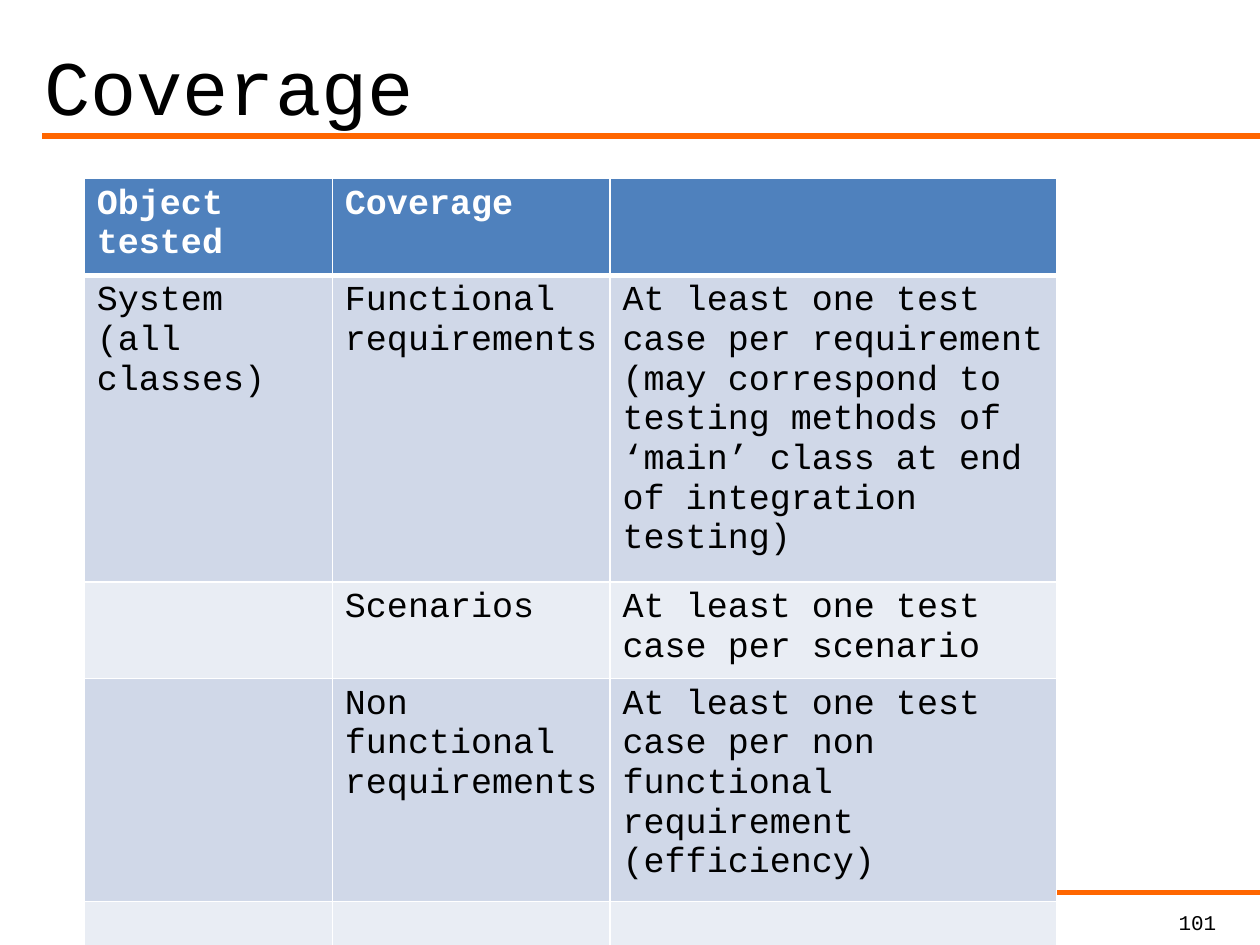
"""Build the test coverage slide: ruled title, coverage table and page number."""
from dataclasses import dataclass

import pptx
import pptx.dml.color
import pptx.enum.shapes
import pptx.enum.text
import pptx.oxml
import pptx.oxml.ns
import pptx.util

Cm = pptx.util.Cm
Pt = pptx.util.Pt


@dataclass(frozen=True)
class Theme:
    font: str = "Courier New"
    black: str = "000000"
    white: str = "FFFFFF"
    rule: str = "FF6600"
    header: str = "4F81BD"
    bands: tuple = ("D0D8E8", "E9EDF4")
    title_size: int = 44
    table_size: int = 20
    number_size: int = 12
    rule_width: int = 3
    grid_width: int = 1
    header_line_width: int = 3


theme = Theme()


def write_text(text_frame, text, size, color, bold=False, alignment=None):
    text_frame.text = text
    for paragraph in text_frame.paragraphs:
        paragraph.alignment = alignment
        for run in paragraph.runs:
            for name, value in {"name": theme.font, "size": Pt(size), "bold": bold}.items():
                setattr(run.font, name, value)
            run.font.color.rgb = pptx.dml.color.RGBColor.from_string(color)


def add_border(cell, side, width):
    cell._tc.get_or_add_tcPr().append(pptx.oxml.parse_xml(
        f'<a:ln{side} {pptx.oxml.ns.nsdecls("a")} w="{Pt(width)}"><a:solidFill>'
        f'<a:srgbClr val="{theme.white}"/></a:solidFill></a:ln{side}>'))


presentation = pptx.Presentation()
presentation.slide_width = Cm(25.4)
presentation.slide_height = Cm(19.05)
slide = presentation.slides.add_slide(presentation.slide_layouts[6])

for left, top in ((0.85, 2.74), (1.9, 17.99)):
    rule = slide.shapes.add_connector(
        pptx.enum.shapes.MSO_CONNECTOR.STRAIGHT, Cm(25.4), Cm(top), Cm(left), Cm(top))
    rule.line.width = Pt(theme.rule_width)
    rule.line.color.rgb = pptx.dml.color.RGBColor.from_string(theme.rule)
    rule._element.spPr.append(
        pptx.oxml.parse_xml(f'<a:effectLst {pptx.oxml.ns.nsdecls("a")}/>'))

anchors = pptx.enum.text.MSO_ANCHOR
alignments = pptx.enum.text.PP_ALIGN
labels = (
    ("Coverage", (0.64, 0.43, 23.93, 2.54), theme.title_size, anchors.MIDDLE, alignments.LEFT),
    ("101", (20.96, 18.21, 3.81, 0.84), theme.number_size, anchors.TOP, alignments.RIGHT),
)
for text, box, size, anchor, alignment in labels:
    text_frame = slide.shapes.add_textbox(*map(Cm, box)).text_frame
    text_frame.word_wrap = True
    text_frame.vertical_anchor = anchor
    write_text(text_frame, text, size, theme.black, alignment=alignment)

rows = (
    ("Object tested", "Coverage", ""),
    ("System (all classes)", "Functional requirements",
     "At least one test case per requirement\n"
     "(may correspond to testing methods of ‘main’ class at end of integration testing)"),
    ("", "Scenarios", "At least one test case per scenario"),
    ("", "Non functional requirements",
     "At least one test case per non functional requirement\n(efficiency)"),
    ("", "", ""),
)
column_widths = (5.0, 5.6, 9.0)
row_height = 1.03
table = slide.shapes.add_table(
    len(rows), len(column_widths), Cm(1.7), Cm(3.6),
    Cm(sum(column_widths)), Cm(row_height * len(rows))).table
for column, width in zip(table.columns, column_widths):
    column.width = Cm(width)

for row_index, row in enumerate(rows):
    is_header = row_index == 0
    fill_color = theme.header if is_header else theme.bands[(row_index - 1) % 2]
    text_color = theme.white if is_header else theme.black
    line_widths = {
        "L": theme.grid_width,
        "R": theme.grid_width,
        "T": theme.header_line_width if row_index == 1 else theme.grid_width,
        "B": theme.header_line_width if is_header else theme.grid_width,
    }
    for column_index, text in enumerate(row):
        cell = table.cell(row_index, column_index)
        for side, width in line_widths.items():
            add_border(cell, side, width)
        cell.fill.solid()
        cell.fill.fore_color.rgb = pptx.dml.color.RGBColor.from_string(fill_color)
        if text:
            write_text(cell.text_frame, text, theme.table_size, text_color, is_header)

presentation.save("out.pptx")
